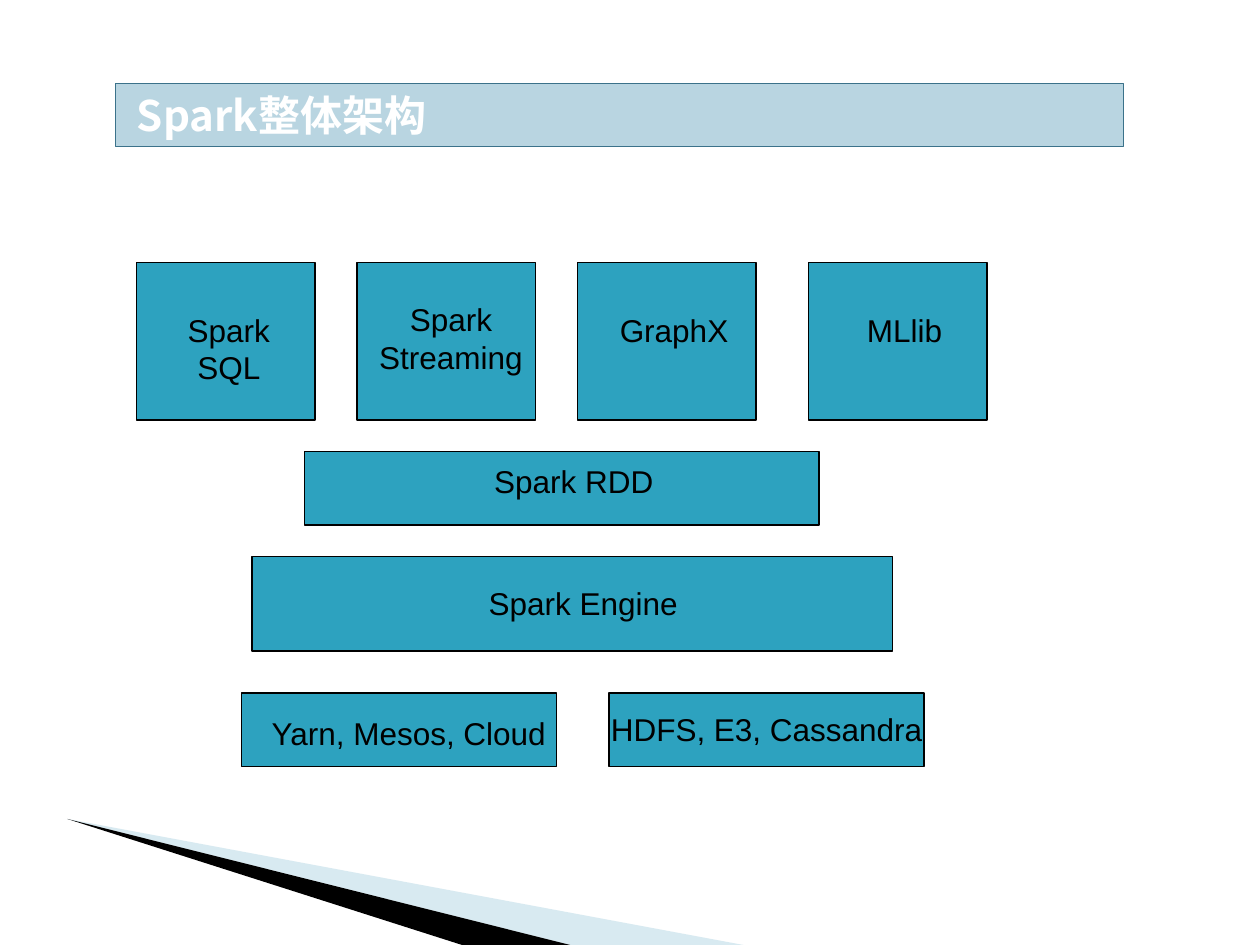
from lxml import etree
from pptx import Presentation, util as u
from pptx.dml.color import RGBColor
from pptx.enum import shapes as sh, text as tx
from pptx.oxml.ns import qn

WHITE = RGBColor(0xFF, 0xFF, 0xFF)
BLACK = RGBColor(0, 0, 0)
TEAL = RGBColor(0x2D, 0xA2, 0xBF)
PALE = RGBColor(0xB9, 0xD5, 0xE1)
SLATE = RGBColor(0x3B, 0x72, 0x8A)
MIST = RGBColor(0x9F, 0xCB, 0xDC)

# The slide is a grid of 120 columns and 90 rows, 12 to the inch
COLS, ROWS = 120, 90
CELL = u.Inches(10) // COLS
LEFT, MID = tx.PP_ALIGN.LEFT, tx.PP_ALIGN.CENTER

TOP, HIGH = 25, 15  # row of library boxes
LIBS = [  # box column, label column, label row, label width, label
    (13, 14, 29, 15.6, "Spark SQL"),
    (34, 34, 28, 17.9, "Spark Streaming"),
    (55, 57, 29, 14.4, "GraphX"),
    (77, 79, 29, 14.3, "MLlib"),
]
LAYERS = [  # box, label column, label row, label width, label, alignment
    ((29, 43, 49, 7), 38.4, 43.4, 32.5, "Spark RDD", MID),
    ((24, 53, 61, 9), 39, 55, 33.1, "Spark Engine", MID),
    ((23, 66, 30, 7), 24.7, 67.4, 29.3, "Yarn, Mesos, Cloud", LEFT),
    ((58, 66, 30, 7), 57, 67, 32.4, "HDFS, E3, Cassandra", LEFT),
]


def grid(*nums):
    return [round(n * CELL) for n in nums]


def write(frame, words, size=18, font="Arial", color=BLACK, bold=False,
          align=LEFT, inset=0.1):
    frame.word_wrap = True
    frame.margin_left = u.Inches(inset)
    para = frame.paragraphs[0]
    para.alignment = align
    run = para.add_run()
    run.text = words
    run.font.size = u.Pt(size)
    run.font.name = font
    run.font.bold = bold
    run.font.color.rgb = color
    east = etree.SubElement(run.font._element, qn("a:ea"))
    east.set("typeface", font)


def box(slide, place, fill=TEAL, line=BLACK, width=0.75):
    rect = slide.shapes.add_shape(sh.MSO_SHAPE.RECTANGLE, *grid(*place))
    rect.shadow.inherit = False
    rect.fill.solid()
    rect.fill.fore_color.rgb = fill
    rect.line.color.rgb = line
    rect.line.width = u.Pt(width)
    return rect


def label(slide, col, row, wide, words, align=MID):
    high = 8.4 if words in ("Spark SQL", "Spark Streaming") else 4.8
    area = slide.shapes.add_textbox(*grid(col, row, wide, high))
    write(area.text_frame, words, align=align)


def wedge(slide, points, fill, alpha=100):
    first, *rest = [grid(*p) for p in points]
    path = slide.shapes.build_freeform(*first)
    path.add_line_segments(rest, close=True)
    form = path.convert_to_shape()
    form.shadow.inherit = False
    form.line.fill.background()
    form.fill.solid()
    form.fill.fore_color.rgb = fill
    if alpha < 100:
        tone = form._element.spPr.find(".//" + qn("a:srgbClr"))
        etree.SubElement(tone, qn("a:alpha")).set("val", str(alpha * 1000))


def main():
    deck = Presentation()
    deck.slide_width, deck.slide_height = grid(COLS, ROWS)
    slide = deck.slides.add_slide(deck.slide_layouts[6])

    # Corner wedges
    tip = (6.4, 78)
    wedge(slide, [tip, (70.8, ROWS), (54.3, ROWS)], MIST, alpha=40)
    wedge(slide, [tip, (54.3, ROWS), (44, ROWS)], BLACK)

    # Title bar
    bar = box(slide, (11, 7.95, 96, 6), PALE, SLATE, 0.25)
    write(bar.text_frame, "Spark整体架构", size=24, font="Noto Sans CJK SC",
          color=WHITE, bold=True, inset=0.17)

    # Libraries
    for left, col, row, wide, words in LIBS:
        box(slide, (left, TOP, 17, HIGH))
        label(slide, col, row, wide, words)

    # Core, engine and platforms
    for place, *rest in LAYERS:
        box(slide, place)
        label(slide, *rest)

    deck.save("out.pptx")


if __name__ == "__main__":
    main()
